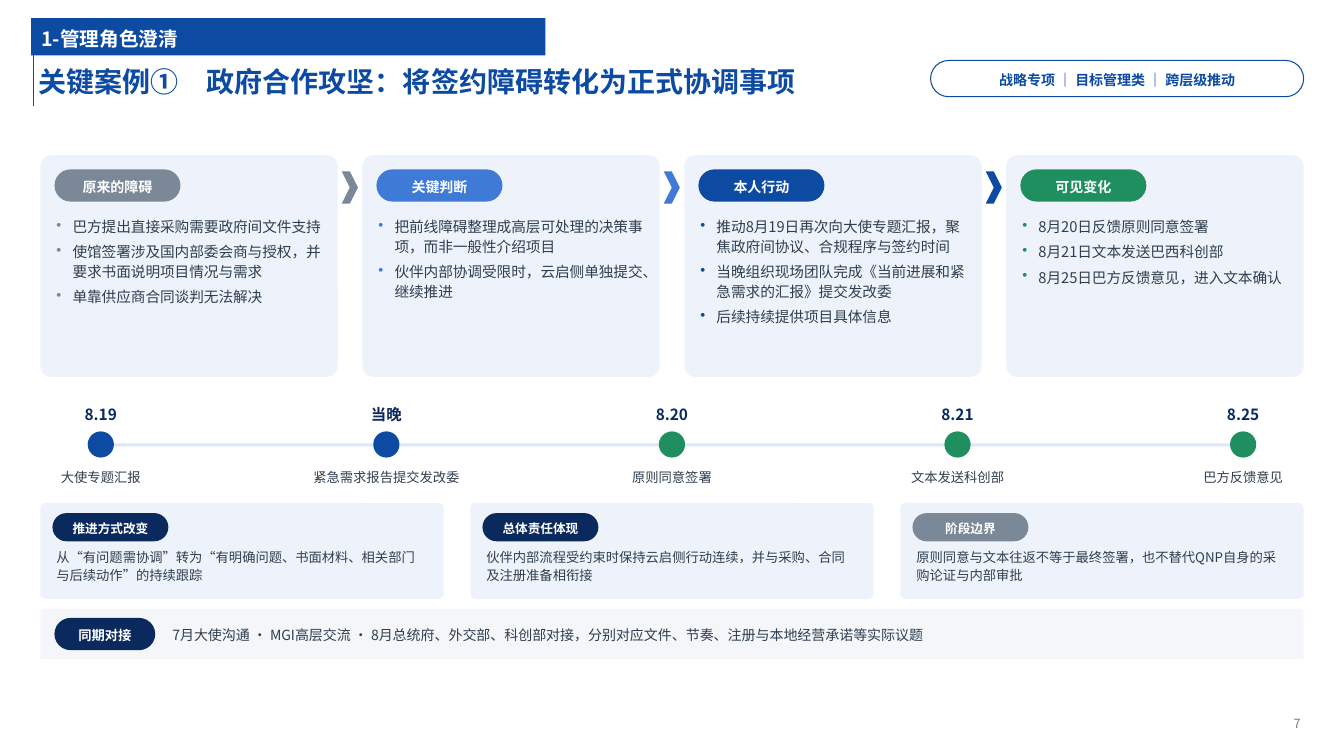
import dataclasses

import lxml.etree
import pptx
import pptx.dml.color
import pptx.enum.shapes
import pptx.enum.text
import pptx.oxml.ns
import pptx.util

RGBColor = pptx.dml.color.RGBColor
BLUE = RGBColor(0x0C, 0x4B, 0xA1)
NAVY = RGBColor(0x0A, 0x2A, 0x5E)
SKY = RGBColor(0x3F, 0x7B, 0xD6)
GREEN = RGBColor(0x1F, 0x8F, 0x5F)
GREY = RGBColor(0x7A, 0x88, 0x98)
PAGE_GREY = RGBColor(0x6F, 0x7E, 0x8F)
INK = RGBColor(0x2F, 0x3E, 0x4F)
WHITE = RGBColor(0xFF, 0xFF, 0xFF)
CARD = RGBColor(0xEE, 0xF3, 0xFB)
RAIL = RGBColor(0xDC, 0xE7, 0xF8)
STRIP = RGBColor(0xF4, 0xF6, 0xF9)

FONT = "Noto Sans CJK SC"
SHAPE = pptx.enum.shapes.MSO_SHAPE
ALIGN = pptx.enum.text.PP_ALIGN
ANCHOR = pptx.enum.text.MSO_ANCHOR
Inches = pptx.util.Inches
Pt = pptx.util.Pt
qn = pptx.oxml.ns.qn

STEPS = [
    ("原来的障碍", GREY, ["巴方提出直接采购需要政府间文件支持",
                     "使馆签署涉及国内部委会商与授权，并要求书面说明项目情况与需求",
                     "单靠供应商合同谈判无法解决"]),
    ("关键判断", SKY, ["把前线障碍整理成高层可处理的决策事项，而非一般性介绍项目",
                   "伙伴内部协调受限时，云启侧单独提交、继续推进"]),
    ("本人行动", BLUE, ["推动8月19日再次向大使专题汇报，聚焦政府间协议、合规程序与签约时间",
                    "当晚组织现场团队完成《当前进展和紧急需求的汇报》提交发改委",
                    "后续持续提供项目具体信息"]),
    ("可见变化", GREEN, ["8月20日反馈原则同意签署",
                     "8月21日文本发送巴西科创部",
                     "8月25日巴方反馈意见，进入文本确认"]),
]
MILESTONES = [
    ("8.19", "大使专题汇报", BLUE),
    ("当晚", "紧急需求报告提交发改委", BLUE),
    ("8.20", "原则同意签署", GREEN),
    ("8.21", "文本发送科创部", GREEN),
    ("8.25", "巴方反馈意见", GREEN),
]
FINDINGS = [
    ("推进方式改变", NAVY, "从“有问题需协调”转为“有明确问题、书面材料、相关部门与后续动作”的持续跟踪"),
    ("总体责任体现", NAVY, "伙伴内部流程受约束时保持云启侧行动连续，并与采购、合同及注册准备相衔接"),
    ("阶段边界", GREY, "原则同意与文本往返不等于最终签署，也不替代QNP自身的采购论证与内部审批"),
]


@dataclasses.dataclass
class Box:
    left: float
    top: float
    width: float
    height: float

    def inner(self, dx, dy, width, height):
        return Box(self.left + dx, self.top + dy, width, height)

    def columns(self, count, width):
        step = (self.width - width) / (count - 1)
        return [self.inner(i * step, 0, width, self.height) for i in range(count)]

    def emu(self):
        return [Inches(v) for v in (self.left, self.top, self.width, self.height)]


def write(shape, lines, size, color, bold=False, align=ALIGN.LEFT, anchor=ANCHOR.MIDDLE,
          insets=(0.06, 0.04, 0.06, 0.04), bullet=None):
    frame = shape.text_frame
    frame.text = "\n".join(lines)
    frame.word_wrap = True
    frame.auto_size = pptx.enum.text.MSO_AUTO_SIZE.NONE
    frame.vertical_anchor = anchor
    frame.margin_left, frame.margin_top, frame.margin_right, frame.margin_bottom = map(Inches, insets)
    for paragraph in frame.paragraphs:
        properties = paragraph._p.get_or_add_pPr()
        indent = Inches(0.16) if bullet else 0
        properties.set("marL", str(indent))
        properties.set("indent", str(-indent))
        if bullet:
            tint = lxml.etree.SubElement(properties, qn("a:buClr"))
            lxml.etree.SubElement(tint, qn("a:srgbClr")).set("val", str(bullet))
            lxml.etree.SubElement(properties, qn("a:buChar")).set("char", "•")
            paragraph.space_after = Pt(4)
        else:
            lxml.etree.SubElement(properties, qn("a:buNone"))
        paragraph.alignment = align
        paragraph.line_spacing = 1.12
        paragraph.space_before = Pt(0)
        for run in paragraph.runs:
            run.font.name = FONT
            run.font.size = Pt(size)
            run.font.bold = bold
            run.font.color.rgb = color
            east_asian = lxml.etree.SubElement(run._r.get_or_add_rPr(), qn("a:ea"))
            east_asian.set("typeface", FONT)


def add_label(slide, box, lines, size, color, **style):
    write(slide.shapes.add_textbox(*box.emu()), lines, size, color, **style)


def add_block(slide, kind, box, fill, corner=None, outline=None):
    block = slide.shapes.add_shape(kind, *box.emu())
    block.shadow.inherit = False
    block.fill.solid()
    block.fill.fore_color.rgb = fill
    if outline:
        block.line.color.rgb = outline
        block.line.width = Pt(0.75)
    else:
        block.line.fill.background()
    if corner is not None:
        block.adjustments[0] = corner
    return block


def add_pill(slide, box, text, size, fill, color=WHITE, outline=None):
    pill = add_block(slide, SHAPE.ROUNDED_RECTANGLE, box, fill, 0.5, outline)
    write(pill, [text], size, color, bold=True, align=ALIGN.CENTER, insets=(0.04, 0, 0.04, 0))


def place(placeholder, box):
    placeholder.left, placeholder.top, placeholder.width, placeholder.height = box.emu()


def add_header(slide, box):
    # Section band, title with its rule, and topic tags
    title, section = slide.placeholders[0], slide.placeholders[1]
    place(title, box.inner(0.02, 0.35, 11.5, 0.52))
    write(title, ["关键案例①\u3000政府合作攻坚：将签约障碍转化为正式协调事项"], 20, BLUE,
          bold=True, insets=(0.05, 0, 0.05, 0))
    place(section, box.inner(0, 0, 5.1, 0.37))
    section.fill.solid()
    section.fill.fore_color.rgb = BLUE
    write(section, ["1-管理角色澄清"], 14, WHITE, bold=True, insets=(0.1, 0, 0.05, 0))

    rule_x = Inches(box.left + 0.02)
    rule = slide.shapes.add_connector(pptx.enum.shapes.MSO_CONNECTOR.STRAIGHT, rule_x,
                                      Inches(box.top + 0.06), rule_x, Inches(box.top + box.height))
    rule.line.color.rgb = BLUE
    rule.line.width = Pt(1)
    lxml.etree.SubElement(rule._element.spPr, qn("a:effectLst"))
    add_pill(slide, box.inner(box.width - 3.7, 0.42, 3.7, 0.36),
             "战略专项 ｜ 目标管理类 ｜ 跨层级推动", 10, WHITE, BLUE, BLUE)


def add_steps(slide, box):
    # Four cards joined by chevrons
    for number, (card, (heading, color, points)) in enumerate(zip(box.columns(len(STEPS), 2.95), STEPS), 1):
        add_block(slide, SHAPE.ROUNDED_RECTANGLE, card, CARD, 0.05)
        add_pill(slide, card.inner(0.14, 0.14, 1.25, 0.32), heading, 10, color)
        add_label(slide, card.inner(0.1, 0.56, card.width - 0.2, card.height - 0.62), points,
                  10.5, INK, anchor=ANCHOR.TOP, bullet=color)
        if number < len(STEPS):
            add_block(slide, SHAPE.CHEVRON, card.inner(card.width + 0.04, 0.16, 0.16, 0.32), color)


def add_timeline(slide, box):
    # Rail with dated dots; each stop is a column centred on its dot
    dot, stop_width = 0.26, 2.2
    add_block(slide, SHAPE.RECTANGLE, box.inner(stop_width / 2, 0.46, box.width - stop_width, 0.03), RAIL)
    for stop, (date, event, color) in zip(box.columns(len(MILESTONES), stop_width), MILESTONES):
        add_block(slide, SHAPE.OVAL, stop.inner((stop_width - dot) / 2, 0.34, dot, dot), color)
        add_label(slide, stop.inner(0, 0, stop_width, 0.32), [date], 11, NAVY, bold=True, align=ALIGN.CENTER)
        add_label(slide, stop.inner(0, 0.66, stop_width, 0.32), [event], 9.5, INK,
                  align=ALIGN.CENTER, anchor=ANCHOR.TOP)


def add_findings(slide, box):
    # Three summary cards
    for card, (heading, color, text) in zip(box.columns(len(FINDINGS), 4), FINDINGS):
        add_block(slide, SHAPE.ROUNDED_RECTANGLE, card, CARD, 0.05)
        add_pill(slide, card.inner(0.12, 0.1, 1.15, 0.28), heading, 9, color)
        add_label(slide, card.inner(0.1, 0.4, card.width - 0.2, 0.55), [text], 9.5, INK, anchor=ANCHOR.TOP)


def add_contacts(slide, box):
    # Strip of parallel contacts
    add_block(slide, SHAPE.ROUNDED_RECTANGLE, box, STRIP, 0.05)
    add_pill(slide, box.inner(0.14, 0.09, 1, 0.32), "同期对接", 9.5, NAVY)
    add_label(slide, box.inner(1.25, 0, box.width - 1.4, box.height),
              ["7月大使沟通 · MGI高层交流 · 8月总统府、外交部、科创部对接，分别对应文件、节奏、注册与本地经营承诺等实际议题"],
              10, INK)


def main():
    deck = pptx.Presentation()
    deck.slide_width, deck.slide_height = Inches(13.33), Inches(7.5)
    slide = deck.slides.add_slide(deck.slide_layouts[1])
    add_header(slide, Box(0.31, 0.18, 12.62, 0.87))
    add_steps(slide, Box(0.4, 1.54, 12.53, 2.2))
    add_timeline(slide, Box(-0.1, 3.94, 13.53, 0.98))
    add_findings(slide, Box(0.4, 4.99, 12.53, 0.95))
    add_contacts(slide, Box(0.4, 6.04, 12.53, 0.5))
    # Page number
    add_label(slide, Box(12, 7.02, 0.95, 0.3), ["7"], 9, PAGE_GREY, align=ALIGN.RIGHT, insets=(0, 0, 0.05, 0))
    deck.save("out.pptx")


if __name__ == "__main__":
    main()
